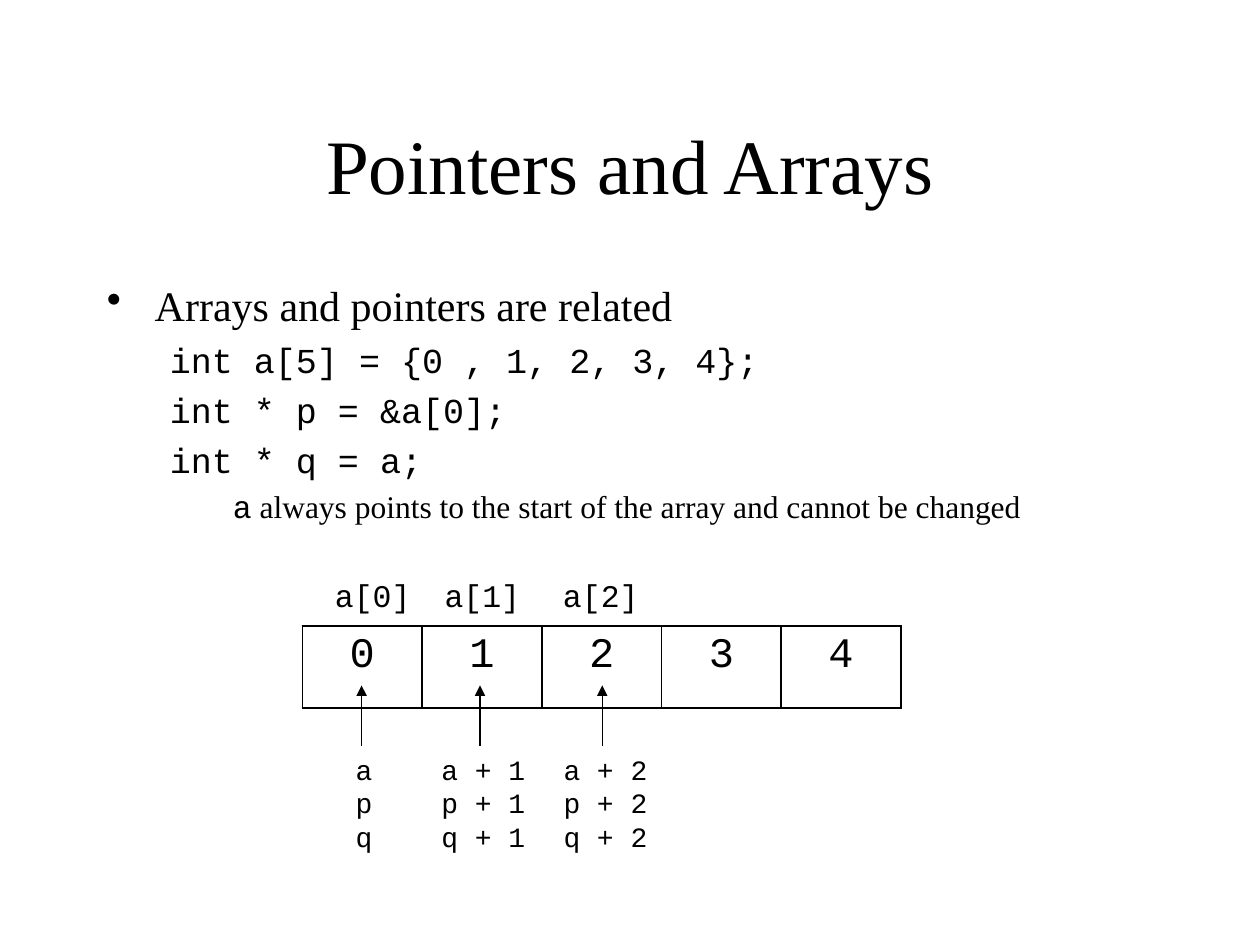
from pptx import Presentation
from pptx.dml.color import RGBColor
from pptx.enum.shapes import MSO_CONNECTOR
from pptx.enum.text import MSO_ANCHOR, PP_ALIGN
from pptx.oxml import parse_xml
from pptx.oxml.ns import nsdecls
from pptx.util import Inches, Pt

LEFT, CENTER = PP_ALIGN.LEFT, PP_ALIGN.CENTER
TOP, MIDDLE = MSO_ANCHOR.TOP, MSO_ANCHOR.MIDDLE
STRAIGHT = MSO_CONNECTOR.STRAIGHT
SERIF, CODE = "Times New Roman", "Courier New"
BLACK = "000000"

deck = Presentation()
deck.slide_width, deck.slide_height = Inches(10), Inches(7.5)
slide = deck.slides.add_slide(deck.slide_layouts[6])


def write(paragraph, runs, size, align=LEFT):
    """Fill a paragraph with (text, font) runs."""
    paragraph.alignment = align
    for text, font in runs:
        run = paragraph.add_run()
        run.text = text
        run.font.name = font
        run.font.size = Pt(size)
        run.font.color.rgb = RGBColor.from_string(BLACK)


def text_frame(left, top, width, height, wrap=True, anchor=TOP):
    """Add a text box, measured in inches, and return its frame."""
    box = slide.shapes.add_textbox(*map(Inches, (left, top, width, height)))
    box.text_frame.word_wrap = wrap
    box.text_frame.vertical_anchor = anchor
    return box.text_frame


# Title and body share the same margins
margin, content_width = 0.75, 8.5
title = text_frame(margin, 0.67, content_width, 1.25, anchor=MIDDLE)
write(title.paragraphs[0], [("Pointers and Arrays", SERIF)], 44, CENTER)

# (runs, size, left margin, first-line indent)
body_lines = [([("Arrays and pointers are related", SERIF)], 24, 0.38, -0.38)]
for statement in ("int a[5] = {0 , 1, 2, 3, 4};", "int * p = &a[0];", "int * q = a;"):
    body_lines.append(([(statement, CODE)], 20, 0.81, -0.31))
body_lines.append(([("a", CODE),
                    (" always points to the start of the array and cannot be changed", SERIF)],
                   18, 1.25, -0.25))

body = text_frame(margin, 2.17, content_width, 2.17)
for row, (runs, size, left_margin, indent) in enumerate(body_lines):
    line = body.paragraphs[0] if row == 0 else body.add_paragraph()
    write(line, runs, size)
    line.space_before = Pt(round(size * 0.23, 1))
    properties = line._p.get_or_add_pPr()
    properties.set("marL", str(Inches(left_margin)))
    properties.set("indent", str(Inches(indent)))
    bullet = '<a:buChar {} char="•"/>' if row == 0 else "<a:buNone {}/>"
    properties.append(parse_xml(bullet.format(nsdecls("a"))))

# Array cells
array_left, array_top, cell_width, cell_height, cell_count = 2.4, 4.97, 0.95, 0.65, 5
array = slide.shapes.add_table(
    1, cell_count, Inches(array_left), Inches(array_top),
    Inches(cell_width * cell_count), Inches(cell_height)).table
array.first_row = array.horz_banding = False
array.rows[0].height = Inches(cell_height)
for index in range(cell_count):
    array.columns[index].width = Inches(cell_width)
    cell = array.cell(0, index)
    write(cell.text_frame.paragraphs[0], [(str(index), CODE)], 24, CENTER)
    borders = cell._tc.get_or_add_tcPr()
    for side in ("lnL", "lnR", "lnT", "lnB"):
        borders.append(parse_xml(
            f'<a:{side} {nsdecls("a")} w="{Pt(1)}"><a:solidFill>'
            f'<a:srgbClr val="{BLACK}"/></a:solidFill></a:{side}>'))
    cell.fill.background()

# Element names above the cells, pointer expressions and arrows below:
# (label left, arrow x, expression left, expression width)
pointer_top, arrow_tip = 5.92, 5.44
elements = [(2.56, 2.87, 2.72, 0.34), (3.43, 3.81, 3.4, 0.87), (4.37, 4.78, 4.37, 0.87)]
for index, (label_left, arrow_x, pointer_left, pointer_width) in enumerate(elements):
    label = text_frame(label_left, 4.52, 0.8, 0.4, wrap=False)
    write(label.paragraphs[0], [(f"a[{index}]", CODE)], 18)

    offset = f" + {index}" if index else ""
    pointers = text_frame(pointer_left, pointer_top, pointer_width, 0.9, wrap=False)
    for row, name in enumerate("apq"):
        line = pointers.paragraphs[0] if row == 0 else pointers.add_paragraph()
        write(line, [(name + offset, CODE)], 16, CENTER)

    arrow = slide.shapes.add_connector(
        STRAIGHT, *map(Inches, (arrow_x, pointer_top, arrow_x, arrow_tip)))
    arrow.line.color.rgb = RGBColor.from_string(BLACK)
    arrow.line.width = Pt(0.75)
    arrow.line._get_or_add_ln().append(
        parse_xml(f'<a:tailEnd {nsdecls("a")} type="triangle"/>'))
    arrow._element.spPr.append(parse_xml(f'<a:effectLst {nsdecls("a")}/>'))

deck.save("out.pptx")
